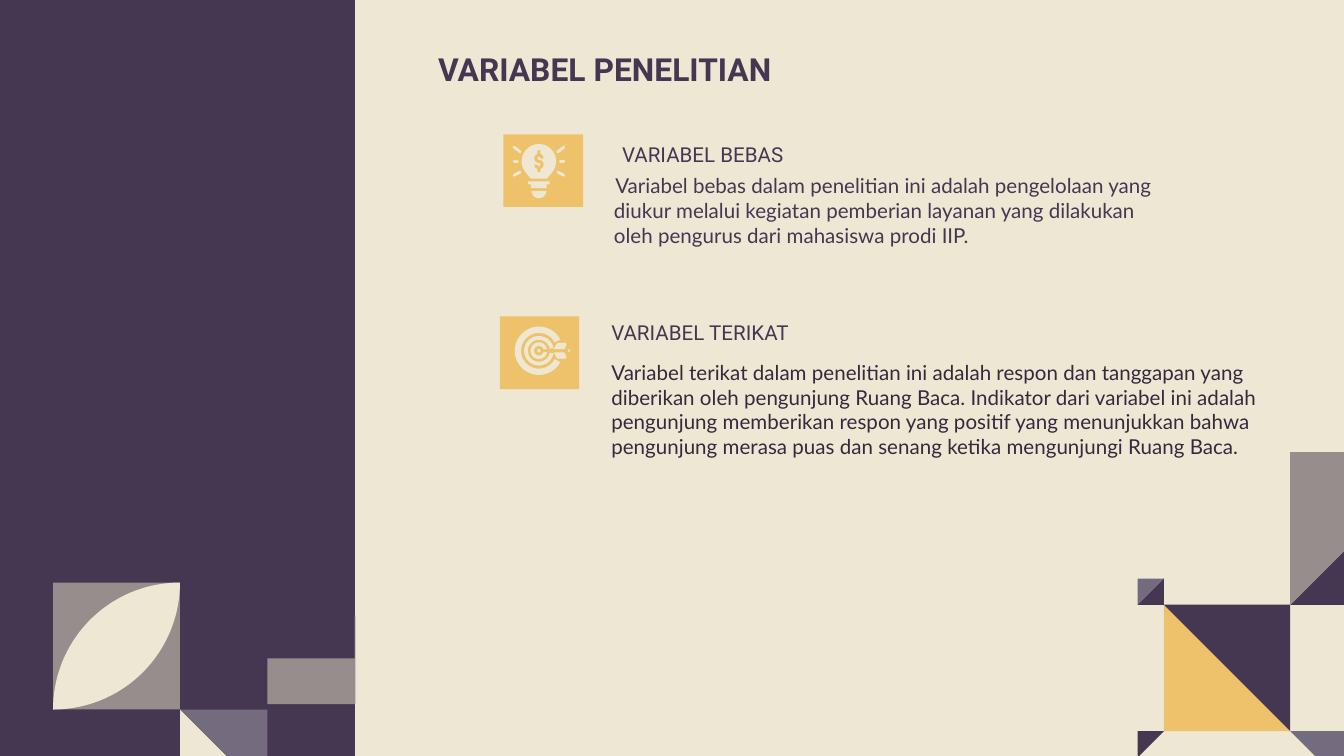
from dataclasses import dataclass
from itertools import product
from math import cos, radians, sin

from lxml import etree
from pptx import Presentation
from pptx import util as u
from pptx.dml.color import RGBColor
from pptx.enum import shapes, text
from pptx.oxml.ns import qn

# The slide is ruled in square cells, 100 columns across; all lengths are in cells.
WIDTH, HEIGHT, COLUMNS = u.Inches(10), u.Inches(5.625), 100
CELL = WIDTH // COLUMNS
Point = tuple[float, float]


@dataclass(frozen=True)
class Theme:
    cream: str = "EDE7D3"
    purple: str = "453751"
    dark: str = "34293D"
    mauve: str = "756B7E"
    grey: str = "968D8C"
    gold: str = "EDC26B"
    heading_font: str = "Roboto"
    body_font: str = "Lato"
    title_size: float = 17
    text_size: float = 11


THEME = Theme()


@dataclass(frozen=True)
class Block:
    left: float
    top: float
    width: float
    height: float
    colour: str


@dataclass(frozen=True)
class Tile:
    """A square cut by one diagonal, which falls or rises from left to right."""
    left: float
    top: float
    size: float
    falls: bool
    lower: str
    upper: str


@dataclass(frozen=True)
class Label:
    left: float
    top: float
    width: float
    height: float
    words: str
    font: str = THEME.heading_font
    size: float = THEME.text_size
    colour: str = THEME.purple
    bold: bool = False
    anchor: text.MSO_ANCHOR = text.MSO_ANCHOR.BOTTOM
    align: text.PP_ALIGN = text.PP_ALIGN.LEFT
    margin: float = 0
    indent: float = 0


STRIP = Block(-0.5, 0, 26.9, 56.25, THEME.purple)
BARS = [Block(19.9, 45.8, 6.55, 6.6, THEME.grey), Block(19.8, 45.7, 6.6, 3.3, THEME.purple)]
LEAF = Block(3.95, 43.35, 9.45, 9.45, THEME.grey)
BULB_BOX = Block(37.45, 10, 5.95, 5.4, THEME.gold)
TARGET_BOX = Block(37.2, 23.55, 5.9, 5.4, THEME.gold)
TILES = [
    Tile(13.4, 52.8, 6.5, True, THEME.cream, THEME.mauve),
    Tile(96, 33.65, 11.35, False, THEME.purple, THEME.grey),
    Tile(96, 54.4, 11.3, True, THEME.cream, THEME.mauve),
    Tile(86.6, 45, 9.4, True, THEME.gold, THEME.purple),
    Tile(84.65, 43.05, 1.95, False, THEME.purple, THEME.mauve),
    Tile(84.65, 54.4, 1.95, False, THEME.cream, THEME.purple),
]
LABELS = [
    Label(26.4, 0, 37.2, 10.3, "VARIABEL PENELITIAN", size=THEME.title_size, bold=True,
          anchor=text.MSO_ANCHOR.MIDDLE, align=text.PP_ALIGN.CENTER),
    Label(45.3, 8.4, 24.5, 4.9, "VARIABEL BEBAS"),
    Label(38.5, 11.9, 48.3, 9.6,
          "Variabel bebas dalam penelitian ini adalah pengelolaan yang diukur melalui "
          "kegiatan pemberian layanan yang dilakukan oleh pengurus dari mahasiswa prodi IIP.",
          font=THEME.body_font, anchor=text.MSO_ANCHOR.TOP, margin=6.2, indent=0.1),
    Label(44.5, 22.6, 22.7, 4, "VARIABEL TERIKAT"),
    Label(44.5, 25.8, 51.5, 9.4,
          "Variabel terikat dalam penelitian ini adalah respon dan tanggapan yang diberikan "
          "oleh pengunjung Ruang Baca. Indikator dari variabel ini adalah pengunjung memberikan "
          "respon yang positif yang menunjukkan bahwa pengunjung merasa puas dan senang ketika "
          "mengunjungi Ruang Baca.",
          font=THEME.body_font, colour=THEME.dark, anchor=text.MSO_ANCHOR.TOP),
]


def cells(count: float) -> int:
    return round(count * CELL)


def paint(shape, colour: str) -> None:
    shape.shadow.inherit = False
    shape.fill.solid()
    shape.fill.fore_color.rgb = RGBColor.from_string(colour)
    shape.line.fill.background()


def draw_block(slide, block: Block) -> None:
    frame = map(cells, (block.left, block.top, block.width, block.height))
    paint(slide.shapes.add_shape(shapes.MSO_SHAPE.RECTANGLE, *frame), block.colour)


def draw_polygon(slide, points: list[Point], colour: str) -> None:
    start, *rest = [(cells(x), cells(y)) for x, y in points]
    builder = slide.shapes.build_freeform(*start)
    builder.add_line_segments(rest, close=True)
    paint(builder.convert_to_shape(), colour)


def arc(x: float, y: float, radius: float, start: float, end: float) -> list[Point]:
    """Points on a circle; degrees run clockwise from the right."""
    steps = 36
    angles = [radians(start + (end - start) * step / steps) for step in range(steps + 1)]
    return [(x + radius * cos(angle), y + radius * sin(angle)) for angle in angles]


def draw_ring(slide, x: float, y: float, outer: float, inner: float,
              start: float, end: float, colour: str) -> None:
    points = arc(x, y, outer, start, end) + arc(x, y, inner, end, start)
    draw_polygon(slide, points, colour)


def draw_tile(slide, tile: Tile) -> None:
    right, bottom = tile.left + tile.size, tile.top + tile.size
    top_left, top_right = (tile.left, tile.top), (right, tile.top)
    low_left, low_right = (tile.left, bottom), (right, bottom)
    ends = [top_left, low_right] if tile.falls else [low_left, top_right]
    draw_polygon(slide, ends + [low_left if tile.falls else low_right], tile.lower)
    draw_polygon(slide, ends + [top_right if tile.falls else top_left], tile.upper)


def draw_leaf(slide, block: Block) -> None:
    draw_block(slide, block)
    right, bottom = block.left + block.width, block.top + block.height
    points = arc(right, bottom, block.width, 180, 270) + arc(block.left, block.top, block.width, 0, 90)
    draw_polygon(slide, points, THEME.cream)


def draw_ray(slide, start: Point, end: Point) -> None:
    ray = slide.shapes.add_connector(shapes.MSO_CONNECTOR.STRAIGHT, *map(cells, start + end))
    ray.line.color.rgb = RGBColor.from_string(THEME.cream)
    ray.line.width = u.Pt(1.5)
    ray.line._get_or_add_ln().set("cap", "rnd")
    etree.SubElement(ray._element.spPr, qn("a:effectLst"))


def draw_bulb(slide, x: float) -> None:
    draw_block(slide, BULB_BOX)
    for side, (near, far) in product((-1, 1), ((11.3, 10.95), (12, 12), (12.8, 13.05))):
        reach = 1.6 if near == far else 1.4
        draw_ray(slide, (x + side * reach, near), (x + side * 1.85, far))
    draw_polygon(slide, arc(x, 12, 1.28, 145, 395) + [(x + 0.6, 13.3), (x - 0.6, 13.3)], THEME.cream)
    draw_ring(slide, x, 11.78, 0.34, 0.12, 0, -270, THEME.gold)
    draw_ring(slide, x, 12.24, 0.34, 0.12, -90, 180, THEME.gold)
    for top in (11.2, 12.5):
        draw_block(slide, Block(x - 0.11, top, 0.22, 0.3, THEME.gold))
    draw_block(slide, Block(x - 0.8, 13.5, 1.6, 0.22, THEME.cream))
    draw_block(slide, Block(x - 0.58, 13.7, 1.16, 0.3, THEME.cream))
    draw_polygon(slide, arc(x, 14.2, 0.55, 0, 180), THEME.cream)


def draw_target(slide, x: float, y: float) -> None:
    draw_block(slide, TARGET_BOX)
    for outer, inner, gap in ((1.8, 1.33, 28), (1.1, 0.82, 10), (0.62, 0.36, 12)):
        draw_ring(slide, x, y, outer, inner, gap, 360 - gap, THEME.cream)
    draw_polygon(slide, arc(x, y, 0.12, 0, 360), THEME.cream)
    for side in (-1, 1):
        feather = [(1.1, 0.12), (1.35, 0.58), (2, 0.58), (2.05, 0.45), (1.9, 0.12)]
        draw_polygon(slide, [(x + dx, y + side * dy) for dx, dy in feather], THEME.cream)
    draw_polygon(slide, arc(x + 2.2, y, 0.12, -90, 90), THEME.cream)


def write_label(slide, label: Label) -> None:
    frame = map(cells, (label.left, label.top, label.width, label.height))
    box = slide.shapes.add_textbox(*frame).text_frame
    box.word_wrap = True
    box.vertical_anchor = label.anchor
    box.margin_left = box.margin_right = box.margin_top = box.margin_bottom = cells(1)
    paragraph = box.paragraphs[0]
    paragraph.alignment = label.align
    properties = paragraph._p.get_or_add_pPr()
    properties.set("marL", str(cells(label.margin)))
    properties.set("indent", str(cells(label.indent)))
    run = paragraph.add_run()
    run.text = label.words
    run.font.name, run.font.size, run.font.bold = label.font, u.Pt(label.size), label.bold
    run.font.color.rgb = RGBColor.from_string(label.colour)


def main() -> None:
    presentation = Presentation()
    presentation.slide_width, presentation.slide_height = WIDTH, HEIGHT
    slide = presentation.slides.add_slide(presentation.slide_layouts[6])
    slide.background.fill.solid()
    slide.background.fill.fore_color.rgb = RGBColor.from_string(THEME.cream)
    draw_block(slide, STRIP)
    draw_leaf(slide, LEAF)
    for bar in BARS:
        draw_block(slide, bar)
    for tile in TILES:
        draw_tile(slide, tile)
    draw_bulb(slide, 40.1)
    draw_target(slide, 40.1, 26.1)
    for label in LABELS:
        write_label(slide, label)
    presentation.save("out.pptx")


if __name__ == "__main__":
    main()
